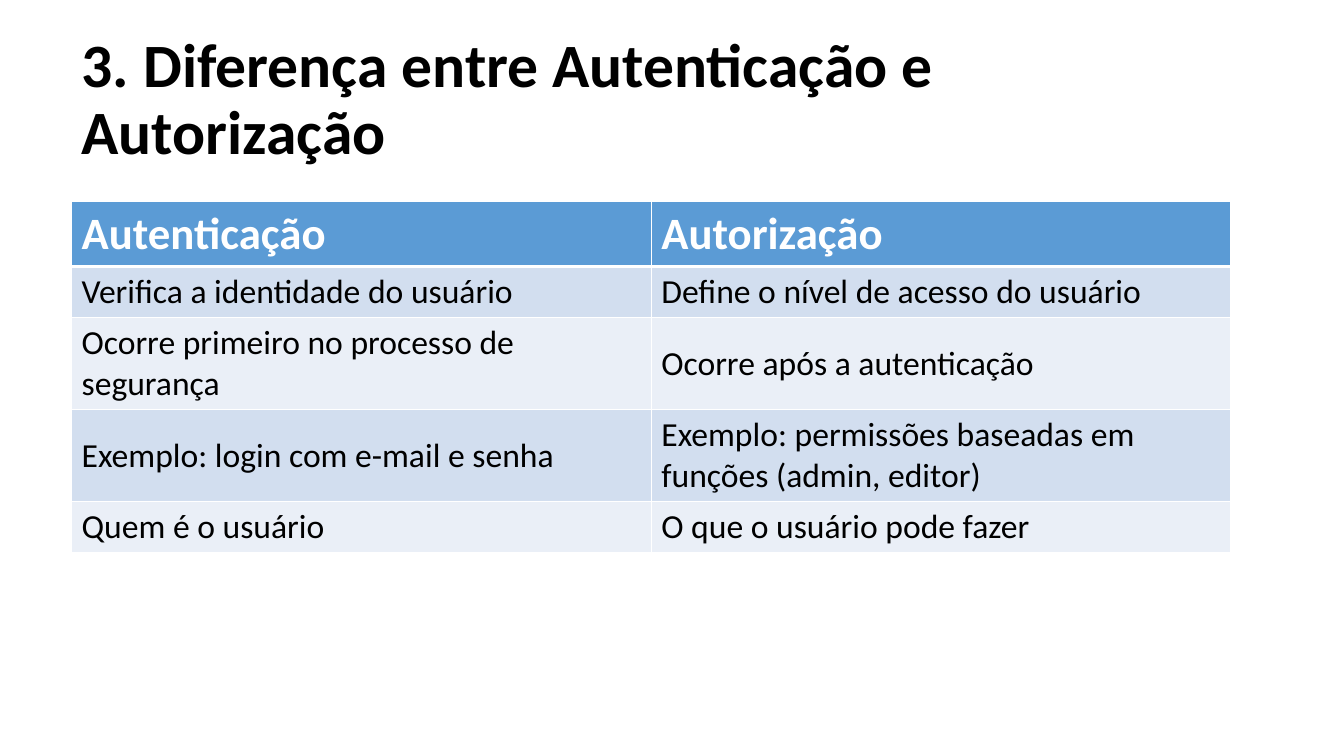
from lxml.etree import SubElement
from pptx import Presentation
from pptx.dml.color import RGBColor
from pptx.enum.text import MSO_ANCHOR as Anchor, PP_ALIGN as Align
from pptx.oxml.ns import qn
from pptx.util import Inches, Pt

BLACK = RGBColor(0x00, 0x00, 0x00)
WHITE = RGBColor(0xFF, 0xFF, 0xFF)
HEADER_BLUE = RGBColor(0x5B, 0x9B, 0xD5)
BANDS = (RGBColor(0xEA, 0xEF, 0xF7), RGBColor(0xD2, 0xDE, 0xEF))

LEFT, WIDTH = Inches(0.71), Inches(11.5)
ROW_HEIGHT = Inches(0.42)

TITLE_FORMAT = {"name": "Calibri", "size": Pt(44), "bold": True}
HEADER_FORMAT = {"name": "Calibri", "size": Pt(32), "bold": True}
BODY_FORMAT = {"name": "Calibri", "size": Pt(24), "bold": False}

COMPARISON = [
    ("Autenticação", "Autorização"),
    ("Verifica a identidade do usuário", "Define o nível de acesso do usuário"),
    ("Ocorre primeiro no processo de segurança", "Ocorre após a autenticação"),
    ("Exemplo: login com e-mail e senha",
     "Exemplo: permissões baseadas em funções (admin, editor)"),
    ("Quem é o usuário", "O que o usuário pode fazer"),
]


def format_paragraph(paragraph, font_format, color):
    """Left-align a paragraph and apply its font values."""
    paragraph.alignment = Align.LEFT
    for name, value in font_format.items():
        setattr(paragraph.font, name, value)
    paragraph.font.color.rgb = color


def add_title(slide, text):
    """Place and format the title placeholder."""
    title = slide.shapes.title
    title.left, title.top = LEFT, Inches(0.28)
    title.width, title.height = WIDTH, Inches(1.45)
    frame = title.text_frame
    frame.text = text
    frame.word_wrap = True
    frame.vertical_anchor = Anchor.MIDDLE
    paragraph = frame.paragraphs[0]
    paragraph.line_spacing = 0.9
    format_paragraph(paragraph, TITLE_FORMAT, BLACK)


def add_borders(cell, widths):
    """Draw white borders with the given point width per side."""
    properties = cell._tc.get_or_add_tcPr()
    for side, width in widths.items():
        line = SubElement(properties, qn(f"a:ln{side}"), w=str(Pt(width)))
        fill = SubElement(line, qn("a:solidFill"))
        SubElement(fill, qn("a:srgbClr"), val=str(WHITE))


def format_cell(cell, text, row):
    """Write one cell with the look of its row."""
    header = row == 0
    cell.text = text
    cell.vertical_anchor = Anchor.MIDDLE
    add_borders(cell, {"L": 1, "R": 1, "T": 3 if row == 1 else 1, "B": 3 if header else 1})
    cell.fill.solid()
    cell.fill.fore_color.rgb = HEADER_BLUE if header else BANDS[row % 2]
    format_paragraph(cell.text_frame.paragraphs[0],
                     HEADER_FORMAT if header else BODY_FORMAT,
                     WHITE if header else BLACK)


def add_comparison_table(slide, rows):
    """Add the table, with equal columns and banded rows."""
    frame = slide.shapes.add_table(len(rows), len(rows[0]), LEFT, Inches(2),
                                   WIDTH, ROW_HEIGHT * len(rows))
    for row, texts in enumerate(rows):
        for column, text in enumerate(texts):
            format_cell(frame.table.cell(row, column), text, row)


def main():
    """Build and save the slide."""
    presentation = Presentation()
    presentation.slide_width = Inches(13.33)
    presentation.slide_height = Inches(7.5)
    slide = presentation.slides.add_slide(presentation.slide_layouts[5])
    add_title(slide, "3. Diferença entre Autenticação e Autorização")
    add_comparison_table(slide, COMPARISON)
    presentation.save("out.pptx")


if __name__ == "__main__":
    main()
